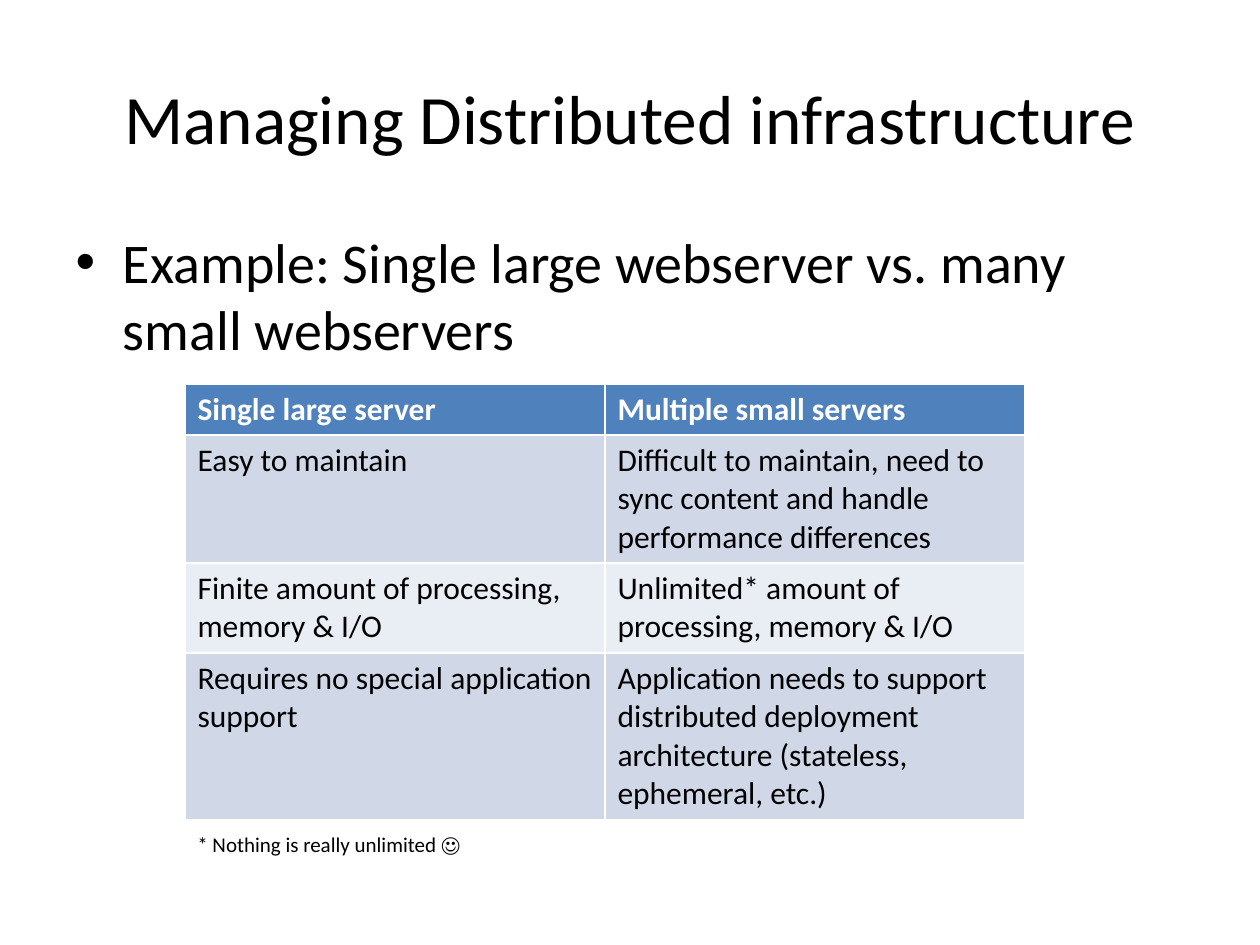
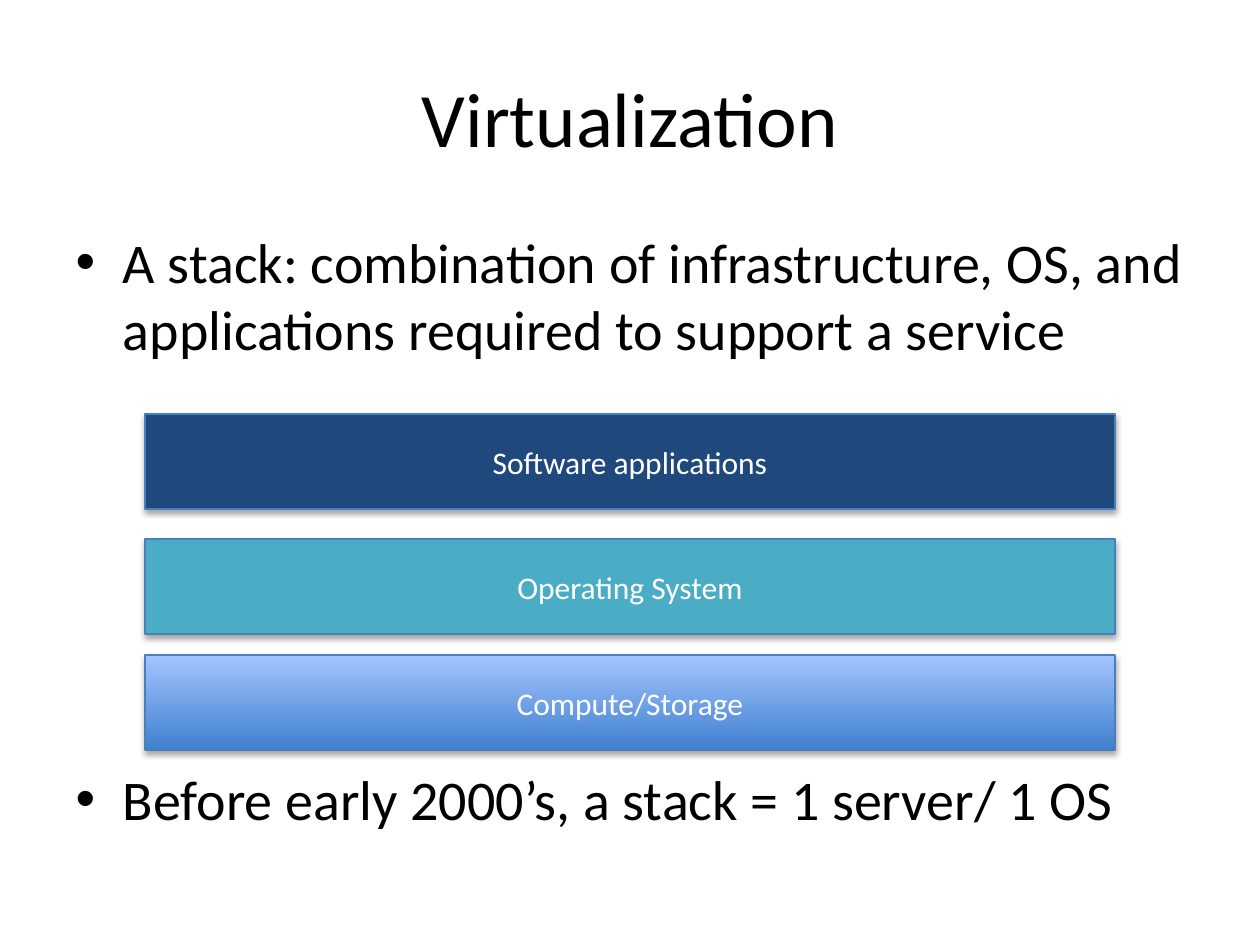
from lxml.etree import SubElement
from pptx import Presentation
from pptx.dml.color import RGBColor
from pptx.enum.shapes import MSO_SHAPE
from pptx.enum.text import MSO_ANCHOR, MSO_AUTO_SIZE, PP_ALIGN
from pptx.oxml.ns import qn
from pptx.util import Pt

PX = 914400 / 126
FONT = "Calibri"
BLACK, WHITE = "000000", "FFFFFF"
HEADER_FILL, BAND_FILLS = "4F81BD", ("D0D8E8", "E9EDF4")
BAR_LINE = "4B7EBC"

SERVERS_TITLE = "Managing Distributed infrastructure"
SERVERS_BULLETS = ["Example: Single large webserver vs. many small webservers"]
COMPARISON = [
    ("Single large server", "Multiple small servers"),
    ("Easy to maintain",
     "Difficult to maintain, need to sync content and handle performance differences"),
    ("Finite amount of processing, memory & I/O",
     "Unlimited* amount of processing, memory & I/O"),
    ("Requires no special application support",
     "Application needs to support distributed deployment architecture "
     "(stateless, ephemeral, etc.)"),
]
ROW_HEIGHTS = (51, 128, 90, 165)
FOOTNOTE = "* Nothing is really unlimited ☺"

STACK_TITLE = "Virtualization"
STACK_BULLETS = [
    "A stack: combination of infrastructure, OS, and applications required to support a service",
    "Before early 2000’s, a stack = 1 server/ 1 OS",
]
STACK_GAP = 230  # points left between the bullets for the layers
LAYERS = [  # text, top, fill colours from bottom to top
    ("Software applications", 414, ["1F497D"]),
    ("Operating System", 539, ["4BACC6"]),
    ("Compute/Storage", 655, ["3F80CE", "A4C4FF"]),
]


def px(*lengths):
    return [round(length * PX) for length in lengths]


def rgb(colour):
    return RGBColor.from_string(colour)


def format_text(frame, size, colour=BLACK, bold=False):
    for paragraph in frame.paragraphs:
        for run in paragraph.runs:
            run.font.name = FONT
            run.font.size = Pt(size)
            run.font.bold = bold
            run.font.color.rgb = rgb(colour)


def place(shape, *box):
    shape.left, shape.top, shape.width, shape.height = px(*box)


def add_slide(deck, title, title_size, bullets, body_height):
    slide = deck.slides.add_slide(deck.slide_layouts[1])
    heading, body = slide.placeholders
    place(heading, 63, 38, 1134, 158)
    place(body, 63, 221, 1134, body_height)
    heading.text_frame.text = title
    body.text_frame.text = "\n".join(bullets)
    for placeholder, size in ((heading, title_size), (body, 32)):
        placeholder.text_frame.auto_size = MSO_AUTO_SIZE.NONE
        format_text(placeholder.text_frame, size)
    return slide, body


def add_comparison(slide):
    frame = slide.shapes.add_table(len(COMPARISON), len(COMPARISON[0]),
                                   *px(185, 384, 840, sum(ROW_HEIGHTS)))
    table = frame.table
    for r, (texts, height) in enumerate(zip(COMPARISON, ROW_HEIGHTS)):
        table.rows[r].height = px(height)[0]
        header = r == 0
        for c, text in enumerate(texts):
            cell = table.cell(r, c)
            cell.text_frame.text = text
            cell.fill.solid()
            cell.fill.fore_color.rgb = rgb(HEADER_FILL if header else BAND_FILLS[(r - 1) % 2])
            format_text(cell.text_frame, 18, WHITE if header else BLACK, header)


def add_footnote(slide):
    note = slide.shapes.add_textbox(*px(185, 825, 291, 38)).text_frame
    note.word_wrap = False
    note.auto_size = MSO_AUTO_SIZE.SHAPE_TO_FIT_TEXT
    note.text = FOOTNOTE
    format_text(note, 12)


def add_shadow(shape):
    shape.shadow.inherit = False
    effects = shape._element.spPr.find(qn("a:effectLst"))
    shadow = SubElement(effects, qn("a:outerShdw"), blurRad="40000", dist="23000",
                        dir="5400000", rotWithShape="0")
    colour = SubElement(shadow, qn("a:srgbClr"), val=BLACK)
    SubElement(colour, qn("a:alpha"), val="35000")


def add_layer(group, text, top, colours):
    bar = group.shapes.add_shape(MSO_SHAPE.RECTANGLE, *px(145, top, 970, 95))
    if len(colours) == 1:
        bar.fill.solid()
        bar.fill.fore_color.rgb = rgb(colours[0])
    else:
        bar.fill.gradient()
        bar.fill.gradient_angle = 90
        for stop, colour in zip(bar.fill.gradient_stops, colours):
            stop.color.rgb = rgb(colour)
    bar.line.color.rgb = rgb(BAR_LINE)
    bar.line.width = Pt(0.75)
    add_shadow(bar)
    bar.text_frame.text = text
    bar.text_frame.vertical_anchor = MSO_ANCHOR.MIDDLE
    bar.text_frame.paragraphs[0].alignment = PP_ALIGN.CENTER
    format_text(bar.text_frame, 18, WHITE)


def main():
    deck = Presentation()
    deck.slide_width, deck.slide_height = px(1260, 945)

    servers, _ = add_slide(deck, SERVERS_TITLE, 39.6, SERVERS_BULLETS, 624)
    add_comparison(servers)
    add_footnote(servers)

    stack, bullets = add_slide(deck, STACK_TITLE, 44, STACK_BULLETS, 678)
    bullets.text_frame.paragraphs[1].space_before = Pt(STACK_GAP)
    layers = stack.shapes.add_group_shape()
    for layer in LAYERS:
        add_layer(layers, *layer)

    deck.save("out.pptx")


if __name__ == "__main__":
    main()
